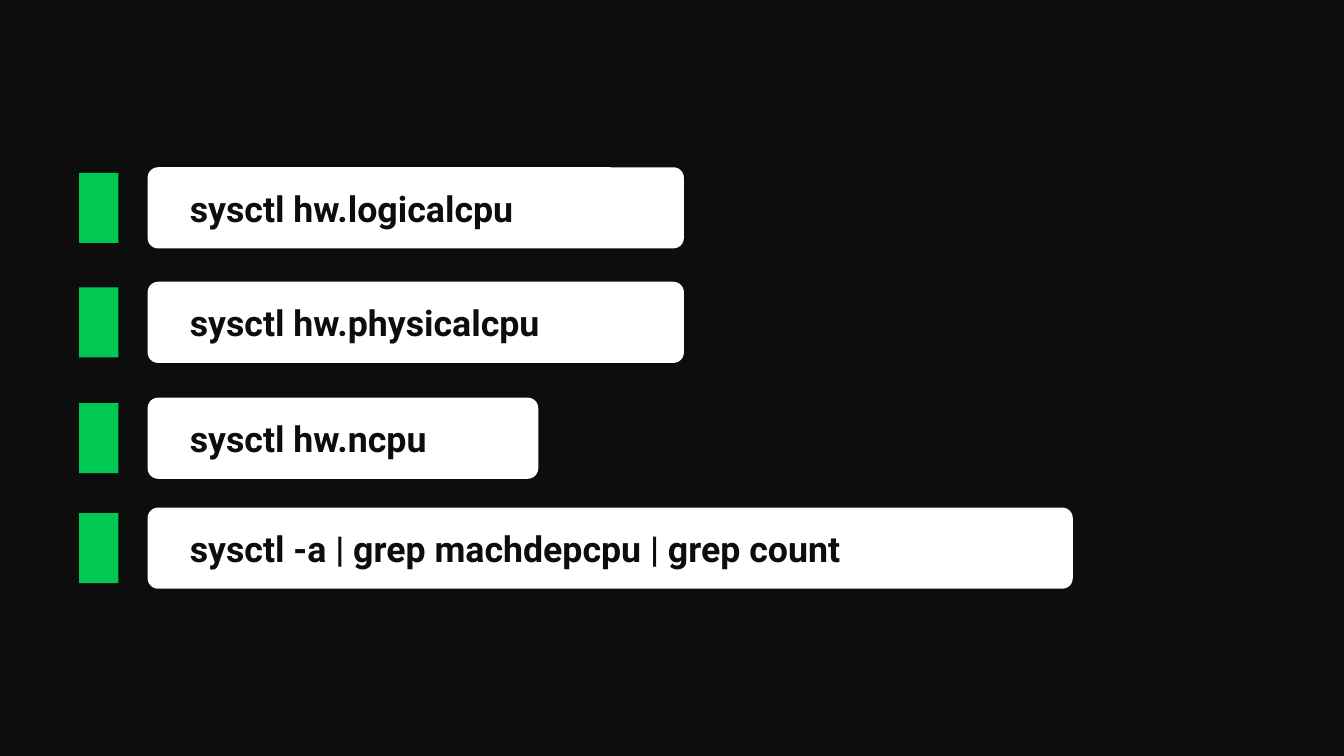
from pptx import Presentation
from pptx.dml.color import RGBColor
from pptx.enum.shapes import MSO_SHAPE
from pptx.enum.text import MSO_ANCHOR, MSO_AUTO_SIZE
from pptx.util import Cm, Pt

COMMANDS = [
    {"text": "sysctl hw.logicalcpu", "top": 8.43, "card": 27.03, "label": 21.97},
    {"text": "sysctl hw.physicalcpu", "top": 14.2, "card": 27.03, "label": 23.06},
    {"text": "sysctl hw.ncpu", "top": 20.04, "card": 19.69, "label": 15.49},
    {"text": "sysctl -a | grep machdepcpu | grep count", "top": 25.58, "card": 46.63, "label": 43.64},
]

THEME = {
    "dark": RGBColor.from_string("0D0D0D"),
    "card": RGBColor.from_string("FFFFFF"),
    "marker": RGBColor.from_string("00C853"),
    "font": "Roboto",
    "size": Pt(51),
    "space": Pt(34),
}

CARD_LEFT, CARD_HEIGHT, CARD_ROUNDING = 7.44, 4.09, 0.129
MARKER_LEFT, MARKER_WIDTH, MARKER_HEIGHT = 3.99, 1.98, 3.53
LABEL_LEFT, LABEL_HEIGHT, LABEL_INSET = 9.42, 2.72, Cm(0.15)

FRAME_FORMAT = {
    "word_wrap": False,
    "auto_size": MSO_AUTO_SIZE.SHAPE_TO_FIT_TEXT,
    "vertical_anchor": MSO_ANCHOR.MIDDLE,
    "margin_left": LABEL_INSET,
    "margin_top": LABEL_INSET,
    "margin_right": LABEL_INSET,
    "margin_bottom": LABEL_INSET,
}
FONT_FORMAT = {"name": THEME["font"], "size": THEME["size"], "bold": True}


def apply_format(target, values):
    for name, value in values.items():
        setattr(target, name, value)


def centred_area(left, middle, width, height):
    return Cm(left), Cm(middle - height / 2), Cm(width), Cm(height)


def add_block(page, kind, area, color):
    block = page.shapes.add_shape(kind, *area)
    block.shadow.inherit = False
    block.fill.solid()
    block.fill.fore_color.rgb = color
    block.line.fill.background()
    return block


def add_label(page, area, text):
    box = page.shapes.add_textbox(*area)
    apply_format(box.text_frame, FRAME_FORMAT)
    para = box.text_frame.paragraphs[0]
    para.space_before = THEME["space"]
    span = para.add_run()
    span.text = text
    apply_format(span.font, FONT_FORMAT)
    span.font.color.rgb = THEME["dark"]


def add_command(page, command):
    middle = command["top"] + CARD_HEIGHT / 2
    card_area = centred_area(CARD_LEFT, middle, command["card"], CARD_HEIGHT)
    label_area = centred_area(LABEL_LEFT, middle, command["label"], LABEL_HEIGHT)
    marker_area = centred_area(MARKER_LEFT, middle, MARKER_WIDTH, MARKER_HEIGHT)
    card = add_block(page, MSO_SHAPE.ROUNDED_RECTANGLE, card_area, THEME["card"])
    card.adjustments[0] = CARD_ROUNDING
    add_label(page, label_area, command["text"])
    add_block(page, MSO_SHAPE.RECTANGLE, marker_area, THEME["marker"])


def main():
    deck = Presentation()
    apply_format(deck, {"slide_width": Cm(67.74), "slide_height": Cm(38.1)})
    page = deck.slides.add_slide(deck.slide_layouts[6])
    page.background.fill.solid()
    page.background.fill.fore_color.rgb = THEME["dark"]
    for command in COMMANDS:
        add_command(page, command)
    deck.save("out.pptx")


if __name__ == "__main__":
    main()
